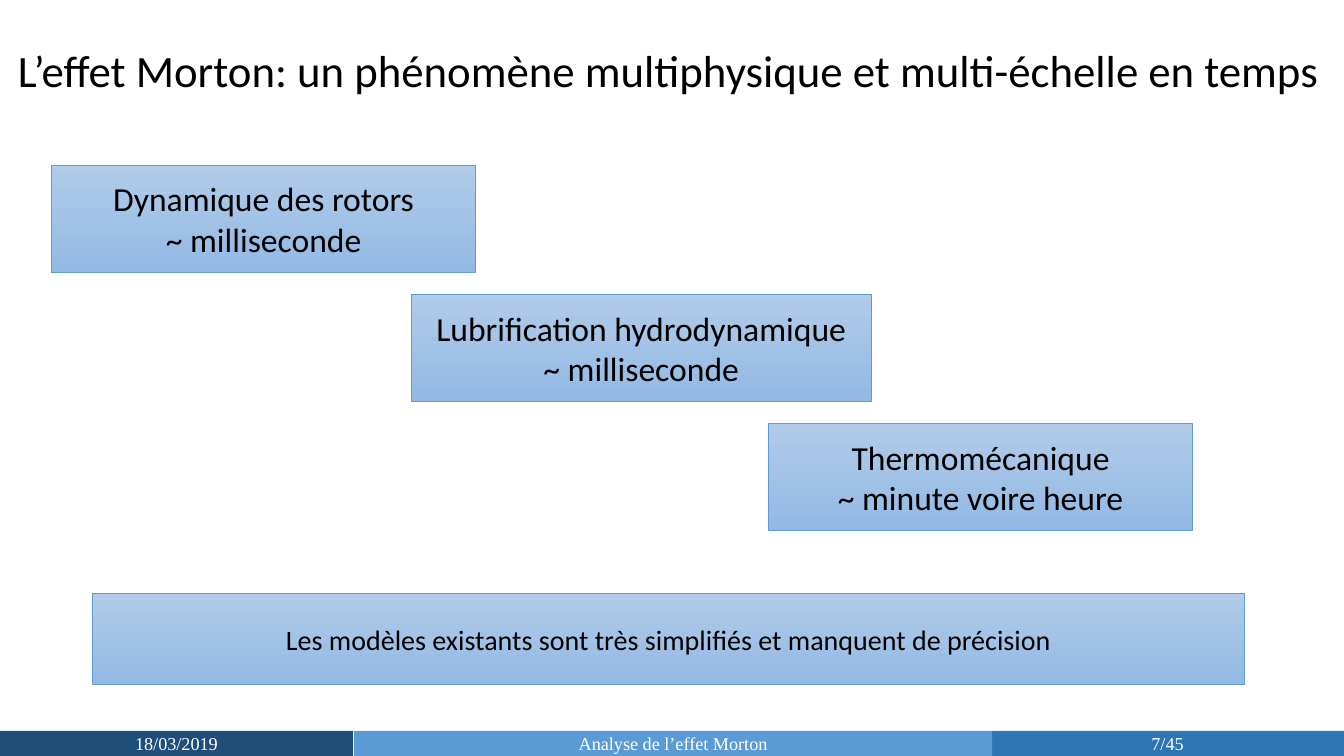
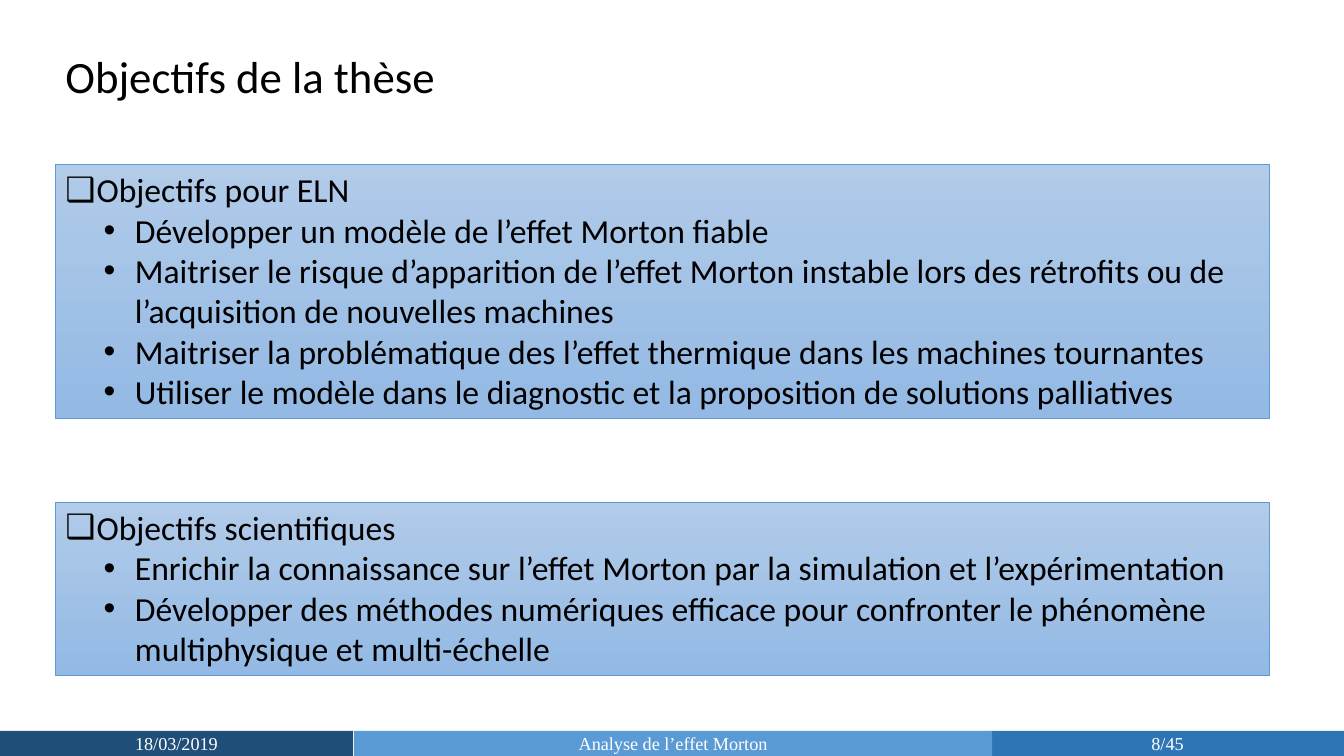
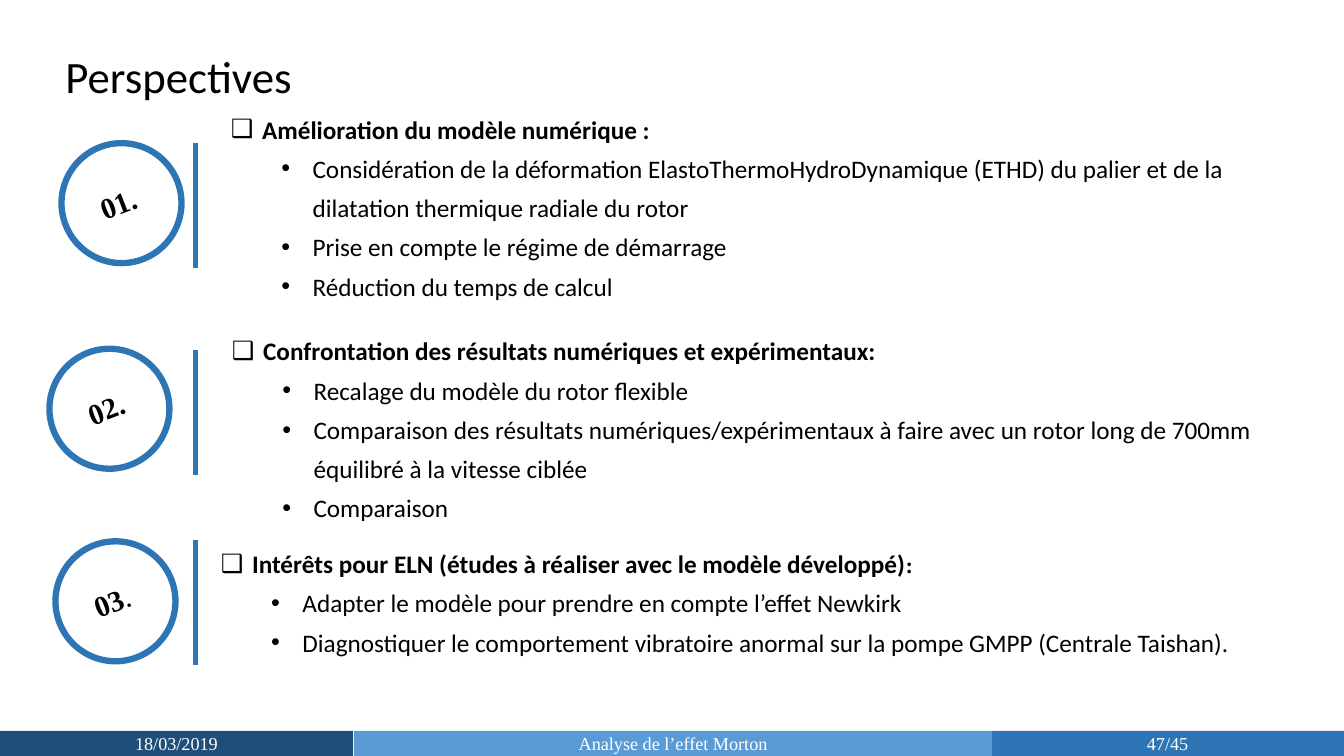
"""Build three slides on the Morton effect: time scales, thesis goals and outlook."""
from dataclasses import dataclass
from typing import NamedTuple

from lxml.etree import SubElement
from pptx import Presentation
from pptx.dml.color import RGBColor
from pptx.enum.shapes import MSO_SHAPE as Preset
from pptx.enum.text import MSO_ANCHOR as Anchor, MSO_AUTO_SIZE as AutoSize, PP_ALIGN as Align
from pptx.oxml.ns import qn
from pptx.shapes.autoshape import Shape
from pptx.slide import Slide
from pptx.util import Inches, Pt

BLACK = RGBColor(0x00, 0x00, 0x00)
WHITE = RGBColor(0xFF, 0xFF, 0xFF)
NAVY = RGBColor(0x1F, 0x4E, 0x79)
BLUE = RGBColor(0x2E, 0x75, 0xB6)
SKY = RGBColor(0x5B, 0x9B, 0xD5)
PANEL_TOP = RGBColor(0xB1, 0xCB, 0xE9)
PANEL_BOTTOM = RGBColor(0x93, 0xB9, 0xE4)

SANS = "Calibri"
SERIF = "Times New Roman"
HANGING = 0.31
FOOTER_TOP, FOOTER_HEIGHT = 7.25, 0.25
CIRCLE_SIZE = 1.19


class Box(NamedTuple):
    left: float
    top: float
    width: float
    height: float


@dataclass(frozen=True)
class Run:
    text: str
    bold: bool = False
    font: str | None = None
    size: float | None = None


@dataclass(frozen=True)
class Line:
    runs: tuple[Run, ...]
    bullet: str = ""
    indent: float = 0
    level: int = 0


@dataclass(frozen=True)
class Stage:
    box: Box
    lines: tuple[str, ...]
    size: float = 24


@dataclass(frozen=True)
class Goals:
    box: Box
    heading: str
    points: tuple[str, ...]


@dataclass(frozen=True)
class Outlook:
    number: tuple[Run, ...]
    circle_left: float
    circle_top: float
    bar_top: float
    body: Box
    heading: tuple[Run, ...]
    points: tuple[str, ...]


STAGES = (
    Stage(Box(0.51, 1.64, 4.21, 1.06), ("Dynamique des rotors", "~ milliseconde")),
    Stage(Box(4.08, 2.92, 4.56, 1.06), ("Lubrification hydrodynamique", "~ milliseconde")),
    Stage(Box(7.62, 4.2, 4.21, 1.06), ("Thermomécanique", "~ minute voire heure")),
    Stage(Box(0.92, 5.89, 11.42, 0.9),
          ("Les modèles existants sont très simplifiés et manquent de précision",), 20),
)

GOALS = (
    Goals(Box(0.55, 1.63, 12.04, 2.52), "Objectifs pour ELN", (
        "Développer un modèle de l’effet Morton fiable",
        "Maitriser le risque d’apparition de l’effet Morton instable lors des rétrofits ou de "
        "l’acquisition de nouvelles machines",
        "Maitriser la problématique des l’effet thermique dans les machines tournantes",
        "Utiliser le modèle dans le diagnostic et la proposition de solutions palliatives",
    )),
    Goals(Box(0.55, 4.98, 12.04, 1.72), "Objectifs scientifiques", (
        "Enrichir la connaissance sur l’effet Morton par la simulation et l’expérimentation",
        "Développer des méthodes numériques efficace pour confronter le phénomène "
        "multiphysique et multi-échelle",
    )),
)

OUTLOOKS = (
    Outlook((Run("01.", True),), 0.61, 1.42, 1.42, Box(2.2, 1, 10.62, 2.06),
            (Run("Amélioration du modèle numérique :", True),), (
        "Considération de la déformation ElastoThermoHydroDynamique (ETHD) du palier et de la "
        "dilatation thermique radiale du rotor",
        "Prise en compte le régime de démarrage",
        "Réduction du temps de calcul",
    )),
    Outlook((Run("02.", True),), 0.49, 3.46, 3.48, Box(2.21, 3.2, 10.61, 2.06),
            (Run("Confrontation des résultats numériques et expérimentaux:", True),), (
        "Recalage du modèle du rotor flexible",
        "Comparaison des résultats numériques/expérimentaux à faire avec un rotor long de 700mm "
        "équilibré à la vitesse ciblée",
        "Comparaison",
    )),
    Outlook((Run("03", True), Run(".", font=SANS)), 0.55, 5.37, 5.36,
            Box(2.1, 5.31, 10.42, 1.66),
            (Run("Intérêts pour ELN (études à réaliser avec le modèle développé)", True),
             Run(":", True, SERIF, 16)), (
        "Adapter le modèle pour prendre en compte l’effet Newkirk",
        "Diagnostiquer le comportement vibratoire anormal sur la pompe GMPP (Centrale Taishan).",
    )),
)


def outline(heading: tuple[Run, ...], points: tuple[str, ...], indent: float) -> list[Line]:
    """Return a ticked heading followed by its bulleted points."""
    return [Line(heading, "❑", HANGING)] + [
        Line((Run(point),), "•", indent, 1) for point in points
    ]


def write(shape: Shape, *lines: str | Line, size: float, font: str = SANS,
          color: RGBColor = BLACK, align: Align = Align.LEFT, anchor: Anchor = Anchor.TOP,
          spacing: float | None = None, wrap: bool = True, grow: bool = False,
          margins: tuple[float, float] = (0.1, 0.05)) -> None:
    """Fill a shape with formatted paragraphs."""
    frame = shape.text_frame
    frame.word_wrap = wrap
    frame.auto_size = AutoSize.SHAPE_TO_FIT_TEXT if grow else AutoSize.NONE
    frame.vertical_anchor = anchor
    frame.margin_left = frame.margin_right = Inches(margins[0])
    frame.margin_top = frame.margin_bottom = Inches(margins[1])
    for index, content in enumerate(lines):
        line = Line((Run(content),)) if isinstance(content, str) else content
        paragraph = frame.add_paragraph() if index else frame.paragraphs[0]
        paragraph.alignment = align
        paragraph.level = line.level
        if spacing:
            paragraph.line_spacing = spacing
        if line.bullet:
            properties = paragraph._p.get_or_add_pPr()
            properties.set("marL", str(Inches(line.indent)))
            properties.set("indent", str(-Inches(HANGING)))
            SubElement(properties, qn("a:buFont")).set("typeface", "Arial")
            SubElement(properties, qn("a:buChar")).set("char", line.bullet)
        for part in line.runs:
            run = paragraph.add_run()
            run.text = part.text
            run.font.name = part.font or font
            run.font.size = Pt(part.size or size)
            run.font.bold = part.bold
            run.font.color.rgb = color


def add_box(slide: Slide, box: Box, fill: RGBColor, line: RGBColor | None = None,
            line_width: float = 0.5, preset: Preset = Preset.RECTANGLE) -> Shape:
    """Draw a flat preset shape."""
    shape = slide.shapes.add_shape(preset, *map(Inches, box))
    shape.shadow.inherit = False
    shape.fill.solid()
    shape.fill.fore_color.rgb = fill
    if line is None:
        shape.line.fill.background()
    else:
        shape.line.color.rgb = line
        shape.line.width = Pt(line_width)
    return shape


def add_panel(slide: Slide, box: Box) -> Shape:
    """Draw a panel with the blue vertical gradient."""
    panel = add_box(slide, box, PANEL_TOP, SKY)
    panel.fill.gradient()
    panel.fill.gradient_angle = 270
    for stop, color in zip(panel.fill.gradient_stops, (PANEL_TOP, PANEL_BOTTOM)):
        stop.color.rgb = color
    return panel


def add_label(slide: Slide, box: Box) -> Shape:
    """Add an empty text box."""
    return slide.shapes.add_textbox(*map(Inches, box))


def add_slide(deck: Presentation, title: str, page: str,
              title_box: Box = Box(0.55, 0.43, 9.6, 0.64), wrap: bool = True) -> Slide:
    """Add a slide with its title and footer band."""
    slide = deck.slides.add_slide(deck.slide_layouts[6])
    footer = (
        (9.83, 3.5, BLUE, page),
        (0, 3.5, NAVY, "18/03/2019"),
        (3.51, 6.33, SKY, "Analyse de l’effet Morton"),
    )
    for left, width, color, text in footer:
        band = add_box(slide, Box(left, FOOTER_TOP, width, FOOTER_HEIGHT), color)
        write(band, text, size=13, font=SERIF, color=WHITE,
              align=Align.CENTER, anchor=Anchor.MIDDLE)
    write(add_label(slide, title_box), title, size=32, wrap=wrap, grow=True)
    return slide


def add_stages(slide: Slide) -> None:
    """Draw the staircase of time scales and its conclusion."""
    for stage in STAGES:
        write(add_panel(slide, stage.box), *stage.lines, size=stage.size,
              align=Align.CENTER, anchor=Anchor.MIDDLE)


def add_goals(slide: Slide) -> None:
    """Draw the panels of thesis goals."""
    for goals in GOALS:
        lines = outline((Run(goals.heading),), goals.points, 0.69)
        write(add_panel(slide, goals.box), *lines, size=24, grow=True)


def add_outlooks(slide: Slide) -> None:
    """Draw each numbered circle, its bar and its outline."""
    for outlook in OUTLOOKS:
        left, top = outlook.circle_left, outlook.circle_top
        add_box(slide, Box(left, top, CIRCLE_SIZE, CIRCLE_SIZE), WHITE, BLUE, 4.5, Preset.OVAL)
        number = add_label(slide, Box(left - 0.05, top + 0.37, 1.22, 0.45))
        number.rotation = 338.9
        write(number, Line(outlook.number), size=21, font=SERIF, align=Align.CENTER, grow=True)
        add_box(slide, Box(1.92, outlook.bar_top, 0.04, 1.23), BLUE, BLUE, 0.75)
        write(add_label(slide, outlook.body), *outline(outlook.heading, outlook.points, 0.81),
              size=18, spacing=1.3, grow=True, margins=(0.09, 0.04))


def main() -> None:
    """Build and save the deck."""
    deck = Presentation()
    deck.slide_width, deck.slide_height = Inches(13.33), Inches(7.5)
    add_stages(add_slide(
        deck, "L’effet Morton: un phénomène multiphysique et multi-échelle en temps", "7/45",
        Box(0.08, 0.37, 13.25, 0.64), wrap=False))
    add_goals(add_slide(deck, "Objectifs de la thèse", "8/45"))
    add_outlooks(add_slide(deck, "Perspectives", "47/45"))
    deck.save("out.pptx")


if __name__ == "__main__":
    main()
